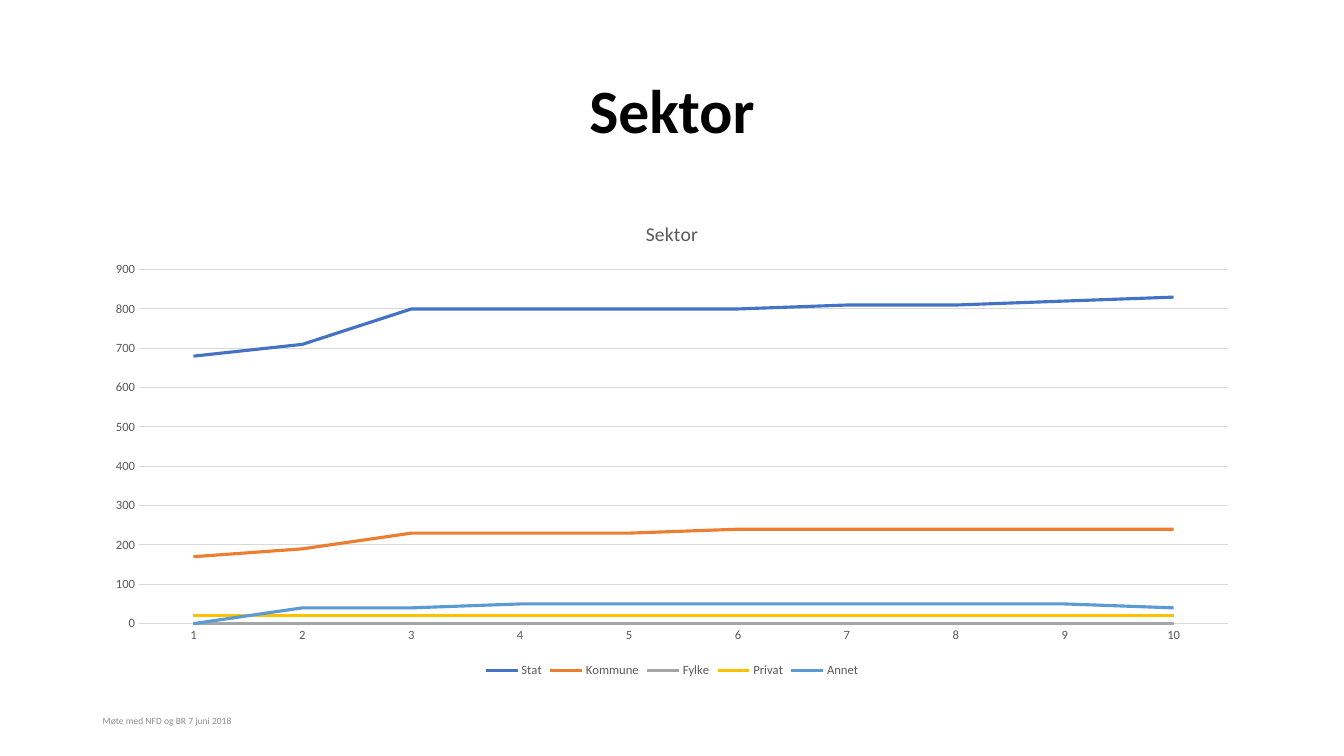
from dataclasses import dataclass

from pptx import Presentation
from pptx.chart.data import CategoryChartData
from pptx.dml.color import RGBColor
from pptx.enum.chart import XL_CHART_TYPE as ChartType
from pptx.enum.chart import XL_LEGEND_POSITION as LegendPosition
from pptx.enum.chart import XL_TICK_MARK as TickMark
from pptx.enum.text import MSO_ANCHOR as Anchor
from pptx.enum.text import PP_ALIGN as Align
from pptx.util import Inches, Pt

FONT = "Calibri"
COLORS = {
    "white": "FFFFFF", "title": "000000", "footer": "8C8C8C",
    "label": "595959", "grid": "D9D9D9",
    "Stat": "4472C4", "Kommune": "ED7D31", "Fylke": "A5A5A5",
    "Privat": "FFC000", "Annet": "5B9BD5",
}
SLIDE_WIDTH, SLIDE_HEIGHT = Inches(13.33), Inches(7.5)
MARGIN = 0.069  # share of the slide's width
CONTENT_WIDTH = 1 - 2 * MARGIN


@dataclass(frozen=True)
class Area:
    """Place on the slide, in shares of its width and height."""
    left: float
    top: float
    width: float
    height: float

    def emu(self) -> tuple[int, int, int, int]:
        return (round(self.left * SLIDE_WIDTH), round(self.top * SLIDE_HEIGHT),
                round(self.width * SLIDE_WIDTH), round(self.height * SLIDE_HEIGHT))


@dataclass(frozen=True)
class Label:
    text: str
    area: Area
    size: float
    color: str
    bold: bool = False
    align: Align = Align.LEFT
    line_spacing: float = 1.0


@dataclass(frozen=True)
class Sector:
    name: str
    counts: tuple[int, ...]


LABELS = [
    Label("Sektor", Area(MARGIN, 0.053, CONTENT_WIDTH, 0.193), 44, "title",
          True, Align.CENTER, 0.9),
    Label("Møte med NFD og BR 7 juni 2018", Area(MARGIN, 0.927, 0.225, 0.053),
          6.8, "footer"),
]
CHART_AREA = Area(MARGIN, 0.267, CONTENT_WIDTH, 0.635)
SECTORS = [
    Sector("Stat", (680, 710, 800, 800, 800, 800, 810, 810, 820, 830)),
    Sector("Kommune", (170, 190, 230, 230, 230, 240, 240, 240, 240, 240)),
    Sector("Fylke", (0,) * 10),
    Sector("Privat", (20,) * 10),
    Sector("Annet", (0, 40, 40, 50, 50, 50, 50, 50, 50, 40)),
]


def rgb(name: str) -> RGBColor:
    return RGBColor.from_string(COLORS[name])


def style_font(font, size: float, color: str, bold: bool = False) -> None:
    font.name, font.size, font.bold = FONT, Pt(size), bold
    font.color.rgb = rgb(color)


def style_line(line, color: str, width: float) -> None:
    line.color.rgb = rgb(color)
    line.width = Pt(width)


def add_label(slide, label: Label) -> None:
    frame = slide.shapes.add_textbox(*label.area.emu()).text_frame
    frame.word_wrap = True
    frame.vertical_anchor = Anchor.MIDDLE
    frame.text = label.text
    paragraph = frame.paragraphs[0]
    paragraph.alignment = label.align
    paragraph.line_spacing = label.line_spacing
    style_font(paragraph.runs[0].font, label.size, label.color, label.bold)


def add_sector_chart(slide, area: Area, sectors: list[Sector]) -> None:
    data = CategoryChartData()
    data.categories = [str(number + 1) for number in range(len(sectors[0].counts))]
    for sector in sectors:
        data.add_series(sector.name, sector.counts)
    chart = slide.shapes.add_chart(ChartType.LINE, *area.emu(), data).chart
    style_font(chart.font, 10, "title")
    chart.plots[0].vary_by_categories = False

    # Heading and legend
    chart.has_title = True
    heading = chart.chart_title.text_frame
    heading.text = "Sektor"
    style_font(heading.paragraphs[0].runs[0].font, 14, "label")
    chart.chart_title.include_in_layout = False
    chart.has_legend = True
    chart.legend.position = LegendPosition.BOTTOM
    chart.legend.include_in_layout = False
    style_font(chart.legend.font, 9, "label")

    # Axes
    periods, counts = chart.category_axis, chart.value_axis
    for axis in (periods, counts):
        axis.major_tick_mark = axis.minor_tick_mark = TickMark.NONE
        style_font(axis.tick_labels.font, 9, "label")
    style_line(periods.format.line, "grid", 0.75)
    counts.minimum_scale, counts.maximum_scale, counts.major_unit = 0, 900, 100
    counts.format.line.fill.background()
    style_line(counts.major_gridlines.format.line, "grid", 0.75)

    # Sector lines
    for series in chart.plots[0].series:
        series.smooth = False
        style_line(series.format.line, series.name, 2.25)


def main() -> None:
    deck = Presentation()
    deck.slide_width, deck.slide_height = SLIDE_WIDTH, SLIDE_HEIGHT
    slide = deck.slides.add_slide(deck.slide_layouts[6])
    slide.background.fill.solid()
    slide.background.fill.fore_color.rgb = rgb("white")

    for label in LABELS:
        add_label(slide, label)
    add_sector_chart(slide, CHART_AREA, SECTORS)
    deck.save("out.pptx")


if __name__ == "__main__":
    main()
